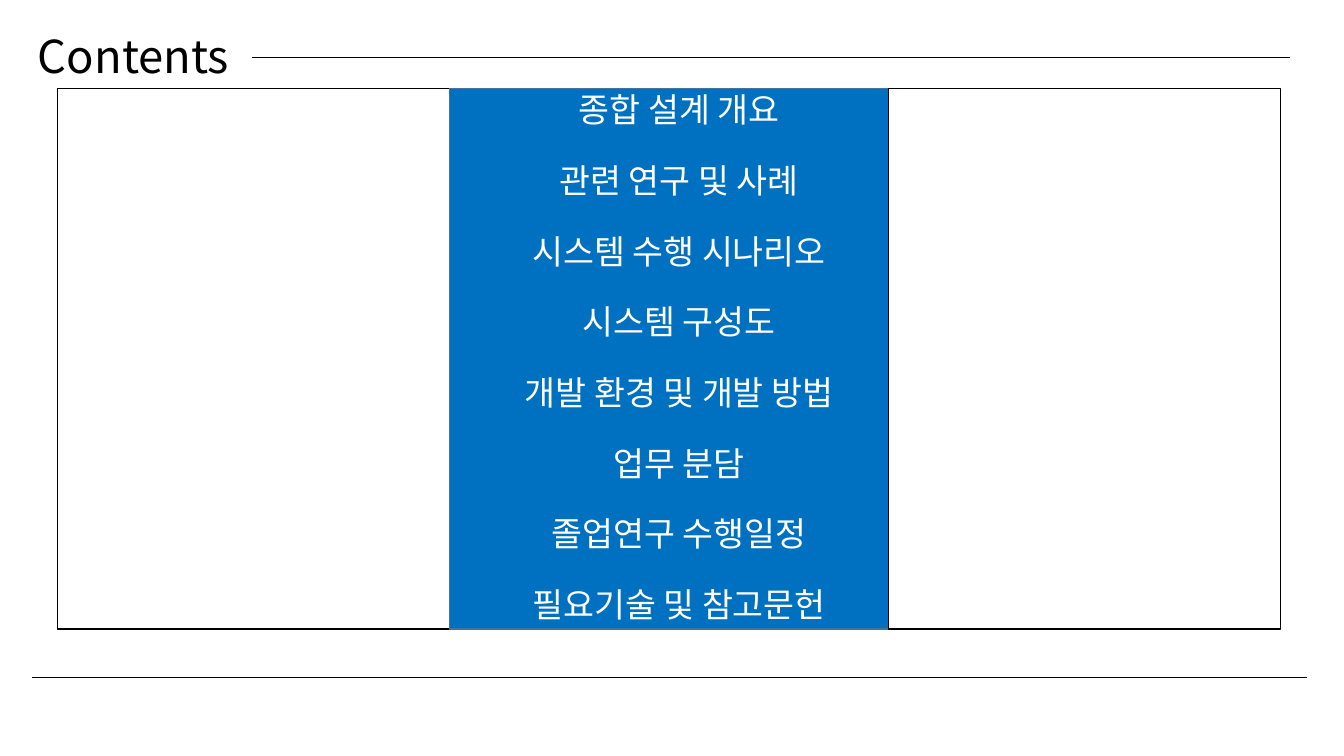
"""Build a contents slide with a blue central column of chapter titles."""
from lxml import etree
from pptx import Presentation
from pptx.dml.color import RGBColor
from pptx.enum.shapes import MSO_CONNECTOR, MSO_SHAPE
from pptx.enum.text import MSO_ANCHOR, PP_ALIGN
from pptx.oxml.ns import qn
from pptx.util import Inches, Pt

RECTANGLE = MSO_SHAPE.RECTANGLE
STRAIGHT = MSO_CONNECTOR.STRAIGHT
CENTER = PP_ALIGN.CENTER
TOP, BOTTOM = MSO_ANCHOR.TOP, MSO_ANCHOR.BOTTOM
FONT = "Noto Sans CJK KR"
BLACK, WHITE, BLUE, EDGE = "000000", "FFFFFF", "0070C0", "43739E"

PANEL_LEFT, PANEL_TOP, PANEL_HEIGHT = 0.57, 0.88, 5.36
SIDE_WIDTH, MIDDLE_WIDTH = 3.89, 4.35
ROW_PITCH = 4.91 / 7
CHAPTERS = [
    "종합 설계 개요",
    "관련 연구 및 사례",
    "시스템 수행 시나리오",
    "시스템 구성도",
    "개발 환경 및 개발 방법",
    "업무 분담",
    "졸업연구 수행일정",
    "필요기술 및 참고문헌",
]


def color(value):
    return RGBColor.from_string(value)


def add_text(page, text, bounds, size, ink, anchor):
    box = page.shapes.add_textbox(*map(Inches, bounds))
    frame = box.text_frame
    frame.word_wrap = True
    frame.vertical_anchor = anchor
    frame.text = text
    para = frame.paragraphs[0]
    para.alignment = CENTER
    para.line_spacing = 0.9
    span = para.runs[0]
    span.font.size = Pt(size)
    span.font.name = FONT
    span.font.color.rgb = color(ink)
    etree.SubElement(span.font._element, qn("a:ea"), typeface=FONT)


deck = Presentation()
deck.slide_width, deck.slide_height = Inches(13.33), Inches(7.5)
page = deck.slides.add_slide(deck.slide_layouts[6])

left = PANEL_LEFT
for width, fill, edge in [
    (SIDE_WIDTH, WHITE, BLACK),
    (MIDDLE_WIDTH, BLUE, EDGE),
    (SIDE_WIDTH, WHITE, BLACK),
]:
    bounds = (left, PANEL_TOP, width, PANEL_HEIGHT)
    panel = page.shapes.add_shape(RECTANGLE, *map(Inches, bounds))
    panel.shadow.inherit = False
    panel.fill.solid()
    panel.fill.fore_color.rgb = color(fill)
    panel.line.color.rgb = color(edge)
    panel.line.width = Pt(1)
    left += width

add_text(page, "Contents", (0.15, 0.26, 2.35, 0.62), 32.4, BLACK, BOTTOM)
for row, chapter in enumerate(CHAPTERS):
    bounds = (4.32, PANEL_TOP + row * ROW_PITCH, 4.83, 0.63)
    add_text(page, chapter, bounds, 24, WHITE, TOP)

for start, end, height in [(2.5, 12.79, 0.57), (0.32, 12.96, 6.72)]:
    rule = page.shapes.add_connector(
        STRAIGHT, Inches(start), Inches(height), Inches(end), Inches(height)
    )
    rule.line.color.rgb = color(BLACK)
    rule.line.width = Pt(1)
    etree.SubElement(rule._element.spPr, qn("a:effectLst"))

deck.save("out.pptx")
